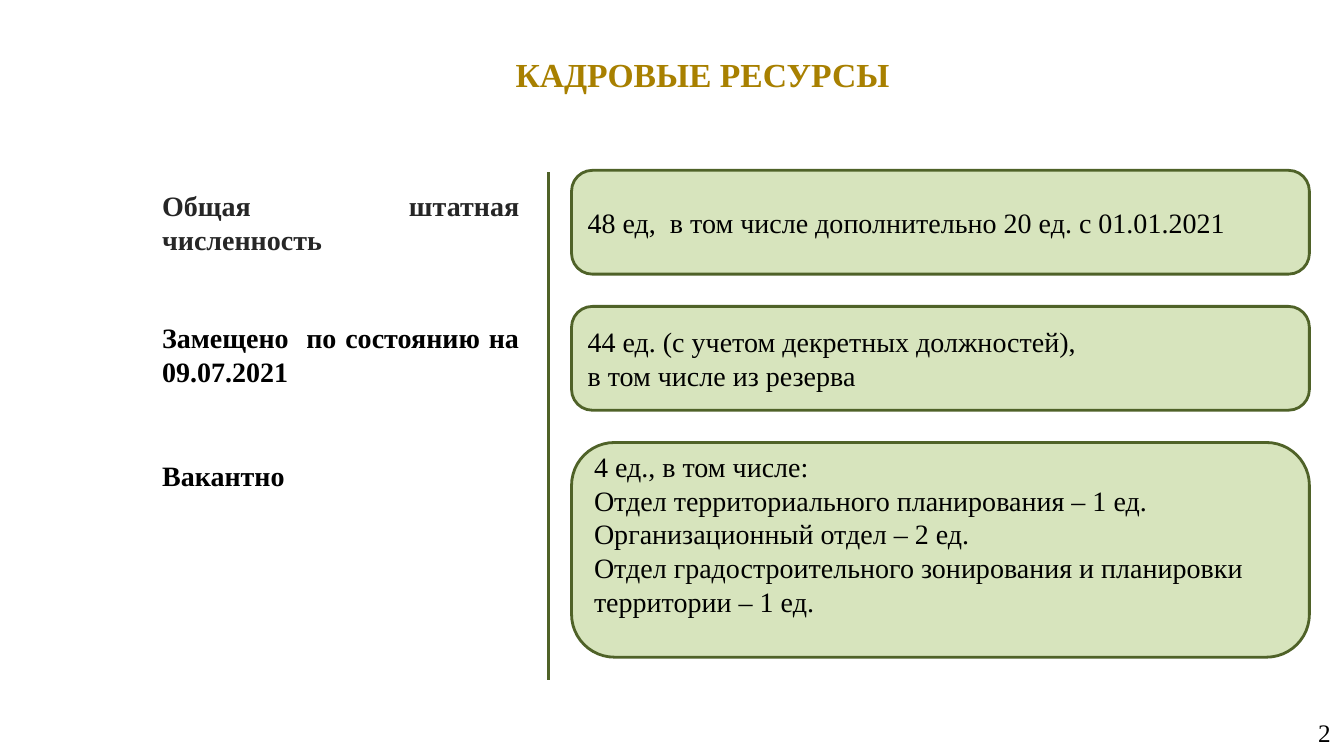
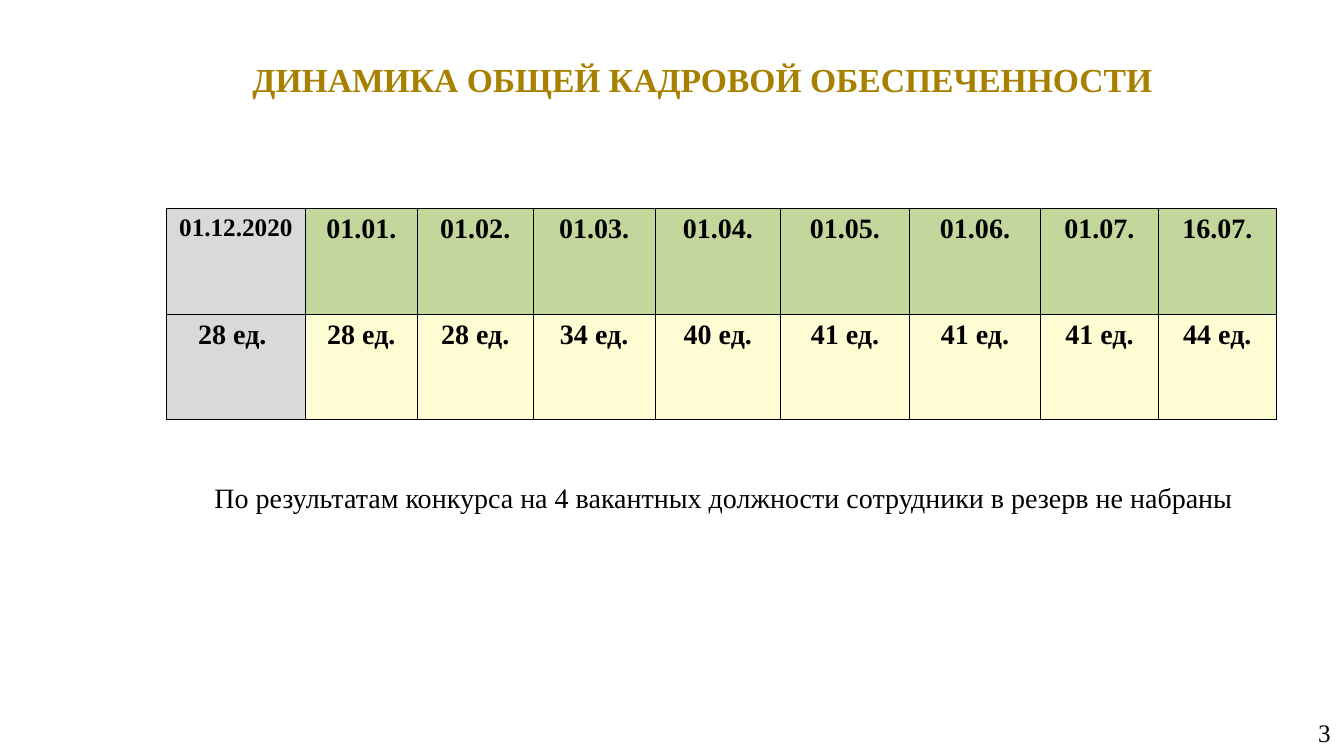
from lxml.etree import SubElement
from pptx import Presentation
from pptx.dml.color import RGBColor
from pptx.enum.shapes import MSO_CONNECTOR as Connector, MSO_SHAPE as Shape
from pptx.enum.text import MSO_ANCHOR as Anchor, MSO_AUTO_SIZE as AutoSize, PP_ALIGN as Align
from pptx.oxml.ns import qn
from pptx.util import Inches, Pt

# Grid: 40 columns by 22.5 rows of square cells
COLUMNS, ROWS = 40, 22.5
CELL = Inches(1) / 3

FONT = "Times New Roman"
COLOURS = {
    "title": "A88000", "text": "000000", "soft": "262626",
    "box": "D7E4BD", "outline": "4F6228",
    "start": "D9D9D9", "date": "C3D69B", "staff": "FDFCD3",
}


def grid(*cells):
    return [round(CELL * count) for count in cells]


def colour(name):
    return RGBColor.from_string(COLOURS[name])


def write(frame, text, size=20, bold=False, ink="text", align=Align.LEFT,
          anchor=Anchor.TOP, insets=(0.3, 0.15, 0.3, 0.15)):
    """Fill a text frame, one paragraph a line; insets are in grid cells."""
    frame.word_wrap = True
    frame.auto_size = AutoSize.NONE
    frame.vertical_anchor = anchor
    (frame.margin_left, frame.margin_top,
     frame.margin_right, frame.margin_bottom) = grid(*insets)
    for index, line in enumerate(text.split("\n")):
        paragraph = frame.add_paragraph() if index else frame.paragraphs[0]
        paragraph.alignment = align
        run = paragraph.add_run()
        run.text = line
        run.font.name, run.font.size, run.font.bold = FONT, Pt(size), bold
        run.font.color.rgb = colour(ink)


class Deck:
    """Shared style and the slide being built."""

    wide_insets = (0.39, 0.21, 0.39, 0.21)

    def __init__(self):
        self.show = Presentation()
        self.show.slide_width, self.show.slide_height = grid(COLUMNS, ROWS)
        self.slide = None

    def start(self, title, number, top):
        self.slide = self.show.slides.add_slide(self.show.slide_layouts[5])
        heading = self.slide.shapes.title
        heading.left, heading.top, heading.width, heading.height = grid(4.95, top, 31.92, 1.59)
        write(heading.text_frame, title, size=24, bold=True, ink="title",
              align=Align.CENTER, insets=self.wide_insets)
        self.text(str(number), 30.67, 21.21, 9.33, 1.17, size=18, align=Align.RIGHT,
                  anchor=Anchor.MIDDLE, insets=self.wide_insets)

    def text(self, words, left, top, width, height, **style):
        label = self.slide.shapes.add_textbox(*grid(left, top, width, height))
        write(label.text_frame, words, **style)

    def box(self, words, left, top, width, height, **style):
        box = self.slide.shapes.add_shape(Shape.ROUNDED_RECTANGLE,
                                          *grid(left, top, width, height))
        box.adjustments[0] = 0.2
        box.shadow.inherit = False
        box.fill.solid()
        box.fill.fore_color.rgb = colour("box")
        self.outline(box.line)
        write(box.text_frame, words, anchor=Anchor.MIDDLE, **style)

    def divider(self, left, top, bottom):
        divider = self.slide.shapes.add_connector(Connector.STRAIGHT,
                                                  *grid(left, top, left, bottom))
        self.outline(divider.line)
        SubElement(divider._element.spPr, qn("a:effectLst"))

    def outline(self, line):
        line.color.rgb = colour("outline")
        line.width = Pt(2)

    def table(self, rows, left, top, widths, row_height, style_cell):
        table = self.slide.shapes.add_table(
            len(rows), len(widths),
            *grid(left, top, sum(widths), row_height * len(rows))).table
        table.first_row = table.horz_banding = False
        for column, width in zip(table.columns, grid(*widths)):
            column.width = width
        for r, row in enumerate(rows):
            for c, words in enumerate(row):
                cell = table.cell(r, c)
                fill, size = style_cell(r, c)
                self.borders(cell)
                cell.fill.solid()
                cell.fill.fore_color.rgb = colour(fill)
                write_cell(cell, words, size)

    def borders(self, cell):
        properties = cell._tc.get_or_add_tcPr()
        for side in ("a:lnL", "a:lnR", "a:lnT", "a:lnB"):
            border = SubElement(properties, qn(side), w=str(Pt(0.96)))
            paint = SubElement(border, qn("a:solidFill"))
            SubElement(paint, qn("a:srgbClr"), val=COLOURS["text"])


def write_cell(cell, words, size):
    paragraph = cell.text_frame.paragraphs[0]
    paragraph.alignment = Align.CENTER
    run = paragraph.add_run()
    run.text = words
    run.font.name, run.font.size, run.font.bold = FONT, Pt(size), True
    run.font.color.rgb = colour("text")


def staff_slide(deck):
    deck.start("КАДРОВЫЕ РЕСУРСЫ", 2, top=1.38)
    deck.divider(16.32, 5.13, 20.25)

    # Label, its drop below the box top and ink; box text, height and bottom inset
    positions = [
        ("Общая штатная численность", 0.39, "soft",
         "48 ед,  в том числе дополнительно 20 ед. с 01.01.2021", 3.09, 0.15),
        ("Замещено  по состоянию на 09.07.2021", 0.27, "text",
         "44 ед. (с учетом декретных должностей),\nв том числе из резерва", 3.09, 0.15),
        ("Вакантно", 0.33, "text",
         "4 ед., в том числе:\n"
         "Отдел территориального планирования – 1 ед.\n"
         "Организационный отдел – 2 ед.\n"
         "Отдел градостроительного зонирования и планировки территории – 1 ед.", 6.39, 1.11),
    ]
    top, gap = 5.07, 0.96
    for label, drop, ink, details, height, bottom in positions:
        deck.text(label, 4.53, top + drop, 11.22, 2.28, bold=True, ink=ink,
                  align=Align.JUSTIFY)
        deck.box(details, 17.01, top, 21.96, height, insets=(0.3, 0.15, 0.3, bottom))
        top += height + gap


def dynamics_slide(deck):
    deck.start("ДИНАМИКА ОБЩЕЙ КАДРОВОЙ ОБЕСПЕЧЕННОСТИ", 3, top=1.53)

    dates = ["01.12.2020", "01.01.", "01.02.", "01.03.", "01.04.",
             "01.05.", "01.06.", "01.07.", "16.07."]
    staff = ["28 ед. ", "28 ед.", "28 ед.", "34 ед.", "40 ед.",
             "41 ед.", "41 ед.", "41 ед.", "44 ед."]

    def style_cell(row, column):
        fill = "start" if column == 0 else ("date", "staff")[row]
        return fill, 18 if row == column == 0 else 20

    deck.table([dates, staff], 4.95, 6.21,
               [4.14, 3.33, 3.45, 3.63, 3.73, 3.84, 3.9, 3.51, 3.51], 3.14, style_cell)

    # Conclusion
    deck.text("По результатам конкурса на 4 вакантных должности сотрудники в резерв не набраны",
              5.31, 14.16, 32.46, 2.13, align=Align.CENTER)


def main():
    deck = Deck()
    staff_slide(deck)
    dynamics_slide(deck)
    deck.show.save("out.pptx")


if __name__ == "__main__":
    main()
